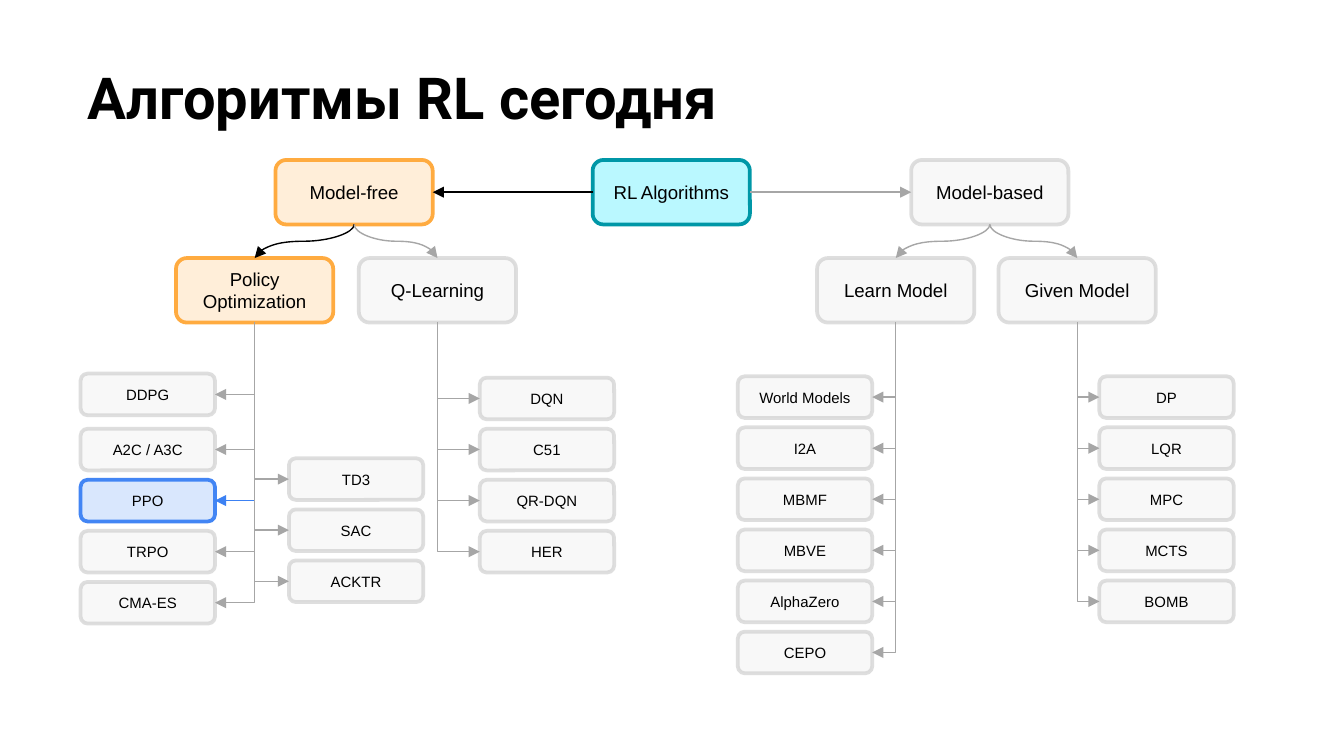
from dataclasses import dataclass

from lxml import etree
from pptx import Presentation
from pptx import util as u
from pptx.dml import color
from pptx.enum import shapes, text
from pptx.oxml import ns


@dataclass(frozen=True)
class Style:
    fill: str
    line: str
    arrow: str
    faded: bool = False


@dataclass(frozen=True)
class Theme:
    ink: str = "000000"
    title_font: str = "Roboto"
    body_font: str = "Arial"
    title_size: float = 31
    node_size: float = 10
    leaf_size: float = 8
    border: float = 2
    arrow_width: float = 0.75
    root: Style = Style("BAF8FF", "0097A7", "000000")
    chosen: Style = Style("FFEED9", "FFAB40", "000000")
    focus: Style = Style("D9E7FD", "4285F4", "3C81F3")
    plain: Style = Style("F2F2F2", "BFBFBF", "A6A6A6", True)


THEME = Theme()
NODE = (1.17, 0.48)
LEAF = (1, 0.31)
LEAF_STEP = 0.38
TOP, LEFT, BOTTOM, RIGHT = range(4)

MODEL_FREE = {
    "name": "Model-free", "style": THEME.chosen, "offset": 1.45,
    "groups": [
        ("Policy Optimization", THEME.chosen, 0.71, [
            (0, 1.59, ["DDPG"]),
            (0, 2, ["A2C / A3C", "PPO", "TRPO", "CMA-ES"]),
            (1.55, 2.22, ["TD3", "SAC", "ACKTR"]),
        ]),
        ("Q-Learning", THEME.plain, 2.07, [
            (2.97, 1.62, ["DQN", "C51", "QR-DQN", "HER"]),
        ]),
    ],
}
MODEL_BASED = {
    "name": "Model-based", "style": THEME.plain, "offset": 1.29,
    "groups": [
        ("Learn Model", THEME.plain, 0.59, [
            (0, 1.61, ["World Models", "I2A", "MBMF", "MBVE", "AlphaZero", "CEPO"]),
        ]),
        ("Given Model", THEME.plain, 1.94, [
            (2.69, 1.61, ["DP", "LQR", "MPC", "MCTS", "BOMB"]),
        ]),
    ],
}


def rgb(value):
    return color.RGBColor.from_string(value)


def apply_format(target, values):
    for name, value in values.items():
        setattr(target, name, value)


def add_title(slide, box, words):
    left, top, width, height = map(u.Inches, box)
    title = slide.shapes.title
    apply_format(title, dict(left=left, top=top, width=width, height=height))
    frame = title.text_frame
    frame.text = words
    inset = u.Inches(0.1)
    apply_format(frame, dict(
        margin_left=inset, margin_right=inset, margin_top=inset, margin_bottom=inset,
        vertical_anchor=text.MSO_ANCHOR.TOP, auto_size=text.MSO_AUTO_SIZE.NONE))
    paragraph = frame.paragraphs[0]
    paragraph.alignment = text.PP_ALIGN.LEFT
    apply_format(paragraph.font, dict(
        name=THEME.title_font, size=u.Pt(THEME.title_size), bold=True))
    paragraph.font.color.rgb = rgb(THEME.ink)


def add_node(slide, place, size, words, style, points):
    shape = slide.shapes.add_shape(
        shapes.MSO_SHAPE.ROUNDED_RECTANGLE, *map(u.Inches, place + size))
    shape.shadow.inherit = False
    shape.fill.solid()
    shape.fill.fore_color.rgb = rgb(style.fill)
    shape.line.color.rgb = rgb(style.line)
    shape.line.width = u.Pt(THEME.border)
    if style.faded:
        for tint in shape.element.spPr.iter(ns.qn("a:srgbClr")):
            etree.SubElement(tint, ns.qn("a:alpha"), val="50000")
    frame = shape.text_frame
    frame.text = words
    apply_format(frame, dict(word_wrap=True, vertical_anchor=text.MSO_ANCHOR.MIDDLE))
    paragraph = frame.paragraphs[0]
    paragraph.alignment = text.PP_ALIGN.CENTER
    apply_format(paragraph.font, dict(name=THEME.body_font, size=u.Pt(points)))
    paragraph.font.color.rgb = rgb(THEME.ink)
    return shape


def add_arrow(slide, kind, parent, parent_site, child, child_site, tint):
    connector = slide.shapes.add_connector(kind, 0, 0, 0, 0)
    connector.begin_connect(parent, parent_site)
    connector.end_connect(child, child_site)
    connector.line.color.rgb = rgb(tint)
    connector.line.width = u.Pt(THEME.arrow_width)
    properties = connector.element.spPr
    etree.SubElement(properties.find(ns.qn("a:ln")), ns.qn("a:tailEnd"), type="triangle")
    etree.SubElement(properties, ns.qn("a:effectLst"))
    return connector


def turn_down(connector):
    start_x, start_y = connector.begin_x, connector.begin_y
    end_x, end_y = connector.end_x, connector.end_y
    width, height = end_y - start_y, abs(end_x - start_x)
    apply_format(connector, dict(
        left=(start_x + end_x - width) // 2, top=(start_y + end_y - height) // 2,
        width=width, height=height))
    frame = connector.element.spPr.find(ns.qn("a:xfrm"))
    for name in ("flipH", "flipV"):
        frame.attrib.pop(name, None)
    frame.set("rot", str((90 if end_x < start_x else 270) * 60000))
    if end_x >= start_x:
        frame.set("flipH", "1")


def add_leaves(slide, place, group, names):
    left, top = place
    for row, name in enumerate(names):
        style = THEME.focus if name == "PPO" else THEME.plain
        leaf = add_node(slide, (left, top + row * LEAF_STEP), LEAF, name, style,
                        THEME.leaf_size)
        site = RIGHT if leaf.left < group.left else LEFT
        connector = add_arrow(slide, shapes.MSO_CONNECTOR.ELBOW, group, BOTTOM,
                              leaf, site, style.arrow)
        connector.element.spPr.find(ns.qn("a:prstGeom")).set("prst", "bentConnector2")
        turn_down(connector)


def add_branch(slide, place, root, root_site, branch):
    left, top = place
    style = branch["style"]
    head = add_node(slide, (left + branch["offset"], top), NODE, branch["name"], style,
                    THEME.node_size)
    head_site = LEFT if root_site == RIGHT else RIGHT
    add_arrow(slide, shapes.MSO_CONNECTOR.STRAIGHT, root, root_site, head, head_site,
              style.arrow)
    for name, group_style, offset, columns in branch["groups"]:
        group = add_node(slide, (left + offset, top + 0.73), NODE, name, group_style,
                         THEME.node_size)
        turn_down(add_arrow(slide, shapes.MSO_CONNECTOR.CURVE, head, BOTTOM, group, TOP,
                            group_style.arrow))
        for across, down, names in columns:
            add_leaves(slide, (left + across, top + down), group, names)


def main():
    presentation = Presentation()
    width = u.Inches(10)
    apply_format(presentation, dict(slide_width=width, slide_height=width * 9 // 16))
    slide = presentation.slides.add_slide(presentation.slide_layouts[5])
    add_title(slide, (0.55, 0.36, 9.32, 1.07), "Алгоритмы RL сегодня")
    root = add_node(slide, (4.41, 1.19), NODE, "RL Algorithms", THEME.root, THEME.node_size)
    add_branch(slide, (0.6, 1.19), root, LEFT, MODEL_FREE)
    add_branch(slide, (5.49, 1.19), root, RIGHT, MODEL_BASED)
    presentation.save("out.pptx")


if __name__ == "__main__":
    main()
